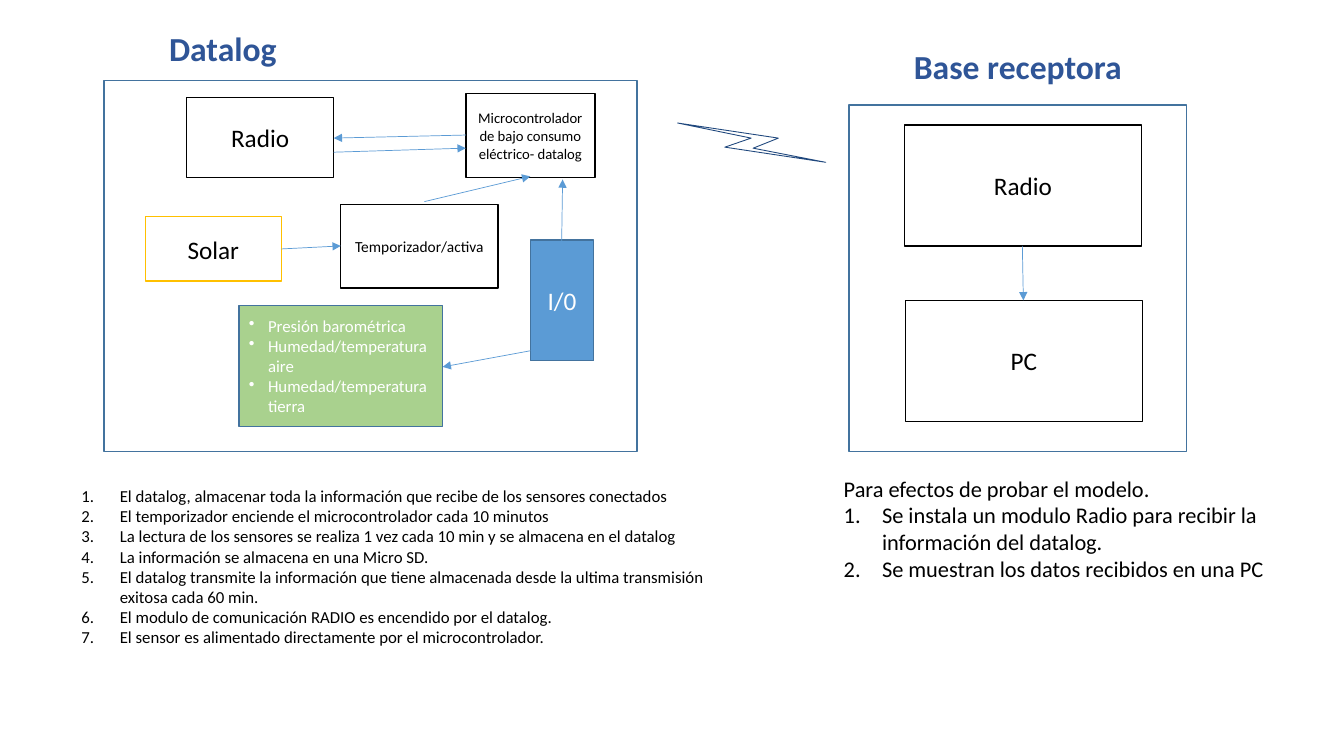
from lxml.etree import SubElement
from pptx import Presentation
from pptx.dml.color import RGBColor
from pptx.enum.shapes import MSO_CONNECTOR, MSO_SHAPE
from pptx.enum.text import MSO_ANCHOR, PP_ALIGN
from pptx.oxml.ns import qn
from pptx.util import Inches, Pt

BLACK = RGBColor(0, 0, 0)
WHITE = RGBColor(255, 255, 255)
BLUE = RGBColor(0x5B, 0x9B, 0xD5)
EDGE = RGBColor(0x43, 0x73, 0x9E)
NAVY = RGBColor(0x2F, 0x55, 0x97)
BOLT = RGBColor(0x1F, 0x47, 0x7D)
GREEN = RGBColor(0xA9, 0xD1, 0x8E)
GOLD = RGBColor(0xFF, 0xC0, 0x00)

BULLET = ("a:buChar", {"char": "•"})
NUMBER = ("a:buAutoNum", {"type": "arabicPeriod"})

SENSORS = ["Presión barométrica", "Humedad/temperatura aire",
           "Humedad/temperatura tierra"]
DATALOG_STEPS = [
    "El datalog, almacenar toda la información que recibe de los sensores conectados",
    "El temporizador enciende el microcontrolador cada 10 minutos",
    "La lectura de los sensores se realiza 1 vez cada 10 min y se almacena en el datalog",
    "La información se almacena en una Micro SD.",
    "El datalog transmite la información que tiene almacenada desde la ultima "
    "transmisión exitosa cada 60 min.",
    "El modulo de comunicación RADIO es encendido por el datalog.",
    "El sensor es alimentado directamente por el microcontrolador.",
]
BASE_INTRO = "Para efectos de probar el modelo."
BASE_STEPS = ["Se instala un modulo Radio para recibir la información del datalog.",
              "Se muestran los datos recibidos en una PC"]


def add_para(frame, text, size, color=BLACK, bold=False, marker=None, indent=0.38,
             **paragraph_format):
    first = frame.paragraphs[0]
    para = frame.add_paragraph() if first.runs else first
    for name, value in paragraph_format.items():
        setattr(para, name, value)
    span = para.add_run()
    span.text = text
    for name, value in {"name": "Calibri", "size": Pt(size), "bold": bold}.items():
        setattr(span.font, name, value)
    span.font.color.rgb = color
    if marker:
        tag, attributes = marker
        properties = para._p.get_or_add_pPr()
        properties.set("marL", str(Inches(indent)))
        properties.set("indent", str(-Inches(indent)))
        SubElement(properties, qn(tag), attributes)


def style_shape(shape, fill, line, width=1):
    shape.shadow.inherit = False
    if fill is None:
        shape.fill.background()
    else:
        shape.fill.solid()
        shape.fill.fore_color.rgb = fill
    shape.line.color.rgb = line
    shape.line.width = Pt(width)


def add_box(page, left, top, width, height, fill=WHITE, line=BLACK):
    box = page.shapes.add_shape(MSO_SHAPE.RECTANGLE, Inches(left), Inches(top),
                                Inches(width), Inches(height))
    style_shape(box, fill, line)
    box.text_frame.word_wrap = True
    box.text_frame.vertical_anchor = MSO_ANCHOR.MIDDLE
    return box


def add_text(page, left, top, width, height):
    box = page.shapes.add_textbox(Inches(left), Inches(top), Inches(width), Inches(height))
    box.text_frame.word_wrap = True
    return box.text_frame


def add_arrow(page, *ends):
    arrow = page.shapes.add_connector(MSO_CONNECTOR.STRAIGHT, *map(Inches, ends))
    arrow.line.color.rgb = BLUE
    arrow.line.width = Pt(0.5)
    SubElement(arrow.line._get_or_add_ln(), qn("a:tailEnd"), {"type": "triangle"})
    SubElement(arrow._element.spPr, qn("a:effectLst"))


def add_panel(page, area, title, title_area, blocks, arrows):
    """Draw a framed diagram; all parts are offset from the frame's corner."""
    left, top, width, height = area
    add_box(page, left, top, width, height, fill=None, line=EDGE)
    x, y, title_width, title_height = title_area
    frame = add_text(page, left + x, top + y, title_width, title_height)
    add_para(frame, title, 24, NAVY, bold=True, alignment=PP_ALIGN.CENTER, line_spacing=0.9)
    for text, size, color, fill, line, (x, y, block_width, block_height) in blocks:
        block = add_box(page, left + x, top + y, block_width, block_height, fill, line)
        add_para(block.text_frame, text, size, color, alignment=PP_ALIGN.CENTER)
    for x1, y1, x2, y2 in arrows:
        add_arrow(page, left + x1, top + y1, left + x2, top + y2)


def add_datalog(page, left, top):
    blocks = [
        ("Radio", 18, BLACK, WHITE, BLACK, (0.82, 0.17, 1.46, 0.79)),
        ("I/0", 18, WHITE, BLUE, EDGE, (4.23, 1.58, 0.63, 1.2)),
        ("Solar", 18, BLACK, WHITE, GOLD, (0.41, 1.35, 1.35, 0.64)),
        ("Microcontrolador de bajo consumo eléctrico- datalog", 10.5, BLACK, WHITE, BLACK,
         (3.59, 0.13, 1.28, 0.83)),
        ("Temporizador/activa", 11, BLACK, WHITE, BLACK, (2.35, 1.23, 1.56, 0.83)),
    ]
    arrows = [
        (3.59, 0.54, 2.28, 0.57),
        (2.28, 0.71, 3.59, 0.67),
        (4.54, 1.66, 4.55, 0.98),
        (4.23, 2.68, 3.36, 2.84),
        (3.18, 1.2, 4.23, 0.95),
        (1.76, 1.67, 2.35, 1.64),
    ]
    add_panel(page, (left, top, 5.29, 3.68), "Datalog", (0.07, -0.53, 2.22, 0.51),
              blocks, arrows)
    sensors = add_box(page, left + 1.34, top + 2.23, 2.02, 1.2, GREEN, EDGE)
    for sensor in SENSORS:
        add_para(sensors.text_frame, sensor, 12, WHITE, marker=BULLET, indent=0.19,
                 alignment=PP_ALIGN.LEFT)


def add_base(page, left, top):
    blocks = [
        ("Radio", 18, BLACK, WHITE, BLACK, (0.55, 0.2, 2.35, 1.2)),
        ("PC", 18, BLACK, WHITE, BLACK, (0.56, 1.94, 2.35, 1.2)),
    ]
    add_panel(page, (left, top, 3.35, 3.44), "Base receptora", (0.12, -0.59, 3.11, 0.53),
              blocks, [(1.72, 1.4, 1.73, 1.94)])


def add_radio_bolt(page, left, top):
    offsets = [(0, 0), (1, 0.15), (0.75, 0.25), (1.47, 0.39), (0.47, 0.24), (0.73, 0.15)]
    start, *others = [(Inches(left + x), Inches(top + y)) for x, y in offsets]
    builder = page.shapes.build_freeform(*start)
    builder.add_line_segments(others, close=True)
    style_shape(builder.convert_to_shape(), None, BOLT, 0.63)


def add_steps(page, area, size, steps, intro=None):
    frame = add_text(page, *area)
    if intro:
        add_para(frame, intro, size)
    for step in steps:
        add_para(frame, step, size, marker=NUMBER)


def main():
    deck = Presentation()
    deck.slide_width, deck.slide_height = Inches(13.33), Inches(7.5)
    page = deck.slides.add_slide(deck.slide_layouts[6])
    add_datalog(page, 1.03, 0.8)
    add_base(page, 8.42, 1.04)
    add_radio_bolt(page, 6.72, 1.22)
    add_steps(page, (0.71, 4.77, 6.82, 1.92), 12, DATALOG_STEPS)
    add_steps(page, (8.27, 4.66, 4.54, 1.45), 16, BASE_STEPS, BASE_INTRO)
    deck.save("out.pptx")


if __name__ == "__main__":
    main()
